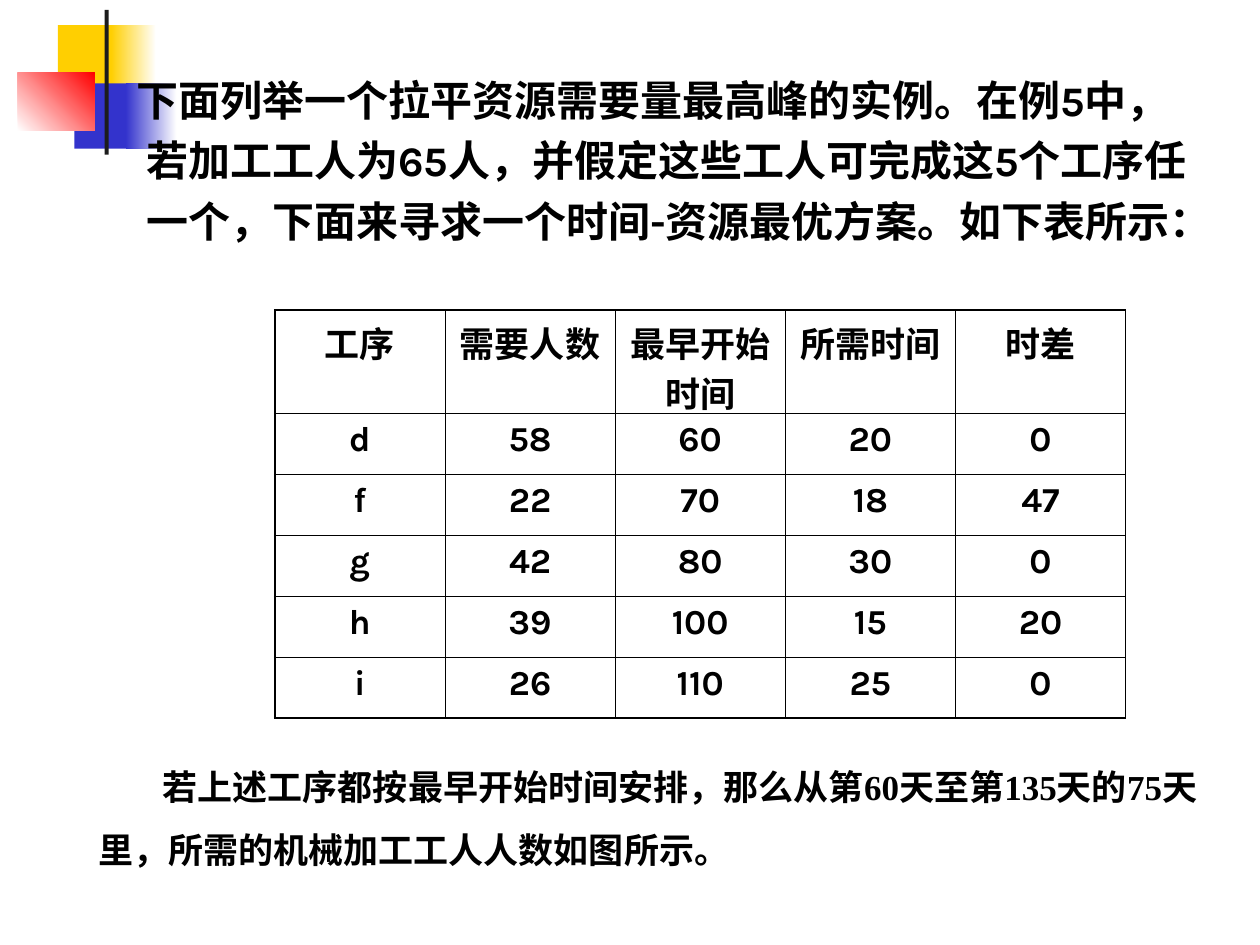
"""Builds the resource-levelling example slide with its process table."""
import pptx
import pptx.dml.color
import pptx.enum.lang
import pptx.enum.shapes
import pptx.enum.text
import pptx.oxml
import pptx.oxml.ns
import pptx.util

Cm = pptx.util.Cm
Pt = pptx.util.Pt

THEME = {
    "ink": "000000", "bar": "1C1C1C", "paper": "FFFFFF",
    "gold": "FFCF01", "blue": "3333CC", "red": "FF0000",
    "sans": "Karla", "serif": "Times New Roman",
    "intro_size": 24, "body_size": 20,
    "outer_line": 1.08, "inner_line": 0.45,
}

INTRO = {
    "text": "下面列举一个拉平资源需要量最高峰的实例。在例5中，若加工工人为65人，"
            "并假定这些工人可完成这5个工序任一个，下面来寻求一个时间-资源最优方案。如下表所示：",
    "place": (1.73, 1.17, 22.73, 16.03), "font": "sans", "size": "intro_size",
    "spacing": 1.2, "margin": 0.97, "indent": -0.2,
}
CLOSING = {
    "text": "若上述工序都按最早开始时间安排，那么从第60天至第135天的75天里，"
            "所需的机械加工工人人数如图所示。",
    "place": (1.73, 14.88, 22.86, 2.79), "font": "serif", "size": "body_size",
    "spacing": 1.5, "margin": 0, "indent": 1.3,
}
PROCESSES = [
    ("工序", "需要人数", "最早开始时间", "所需时间", "时差"),
    ("d", "58", "60", "20", "0"),
    ("f", "22", "70", "18", "47"),
    ("g", "42", "80", "30", "0"),
    ("h", "39", "100", "15", "20"),
    ("i", "26", "110", "25", "0"),
]
TABLE = {"left": 5.54, "top": 6.25, "column": 3.43, "header": 2.08, "row": 1.23}

ORNAMENT = [
    ((1.17, 0.51, 1.22, 1.32), ("gold",), 0),
    ((2.24, 0.51, 0.91, 1.32), ("gold", "paper"), 0),
    ((1.5, 1.68, 1.17, 1.32), ("blue",), 0),
    ((2.54, 1.68, 1.02, 1.32), ("blue", "paper"), 0),
    ((0.36, 1.47, 1.55, 1.17), ("paper", "red"), 45),
    ((2.11, 0.2, 0.08, 2.92), ("bar",), 0),
]


def colour(name):
    return pptx.dml.color.RGBColor.from_string(THEME[name])


def style_text(para, font, size):
    for span in para.runs:
        span.font.name = THEME[font]
        span.font.size = Pt(THEME[size])
        span.font.bold = True
        span.font.color.rgb = colour("ink")
        span.font.language_id = pptx.enum.lang.MSO_LANGUAGE_ID.SIMPLIFIED_CHINESE


def add_ornament(page, place, colours, angle):
    block = page.shapes.add_shape(
        pptx.enum.shapes.MSO_SHAPE.RECTANGLE, *map(Cm, place))
    block.shadow.inherit = False
    block.line.fill.background()
    if len(colours) == 1:
        block.fill.solid()
        block.fill.fore_color.rgb = colour(colours[0])
        return
    block.fill.gradient()
    block.fill.gradient_angle = angle
    for stop, position, name in zip(block.fill.gradient_stops, (0, 1), colours):
        stop.position = position
        stop.color.rgb = colour(name)


def add_paragraph_box(page, content):
    box = page.shapes.add_textbox(*map(Cm, content["place"]))
    box.text_frame.word_wrap = True
    box.text_frame.text = content["text"]
    para = box.text_frame.paragraphs[0]
    para.line_spacing = content["spacing"]
    properties = para._p.get_or_add_pPr()
    properties.set("marL", str(Cm(content["margin"])))
    properties.set("indent", str(Cm(content["indent"])))
    style_text(para, content["font"], content["size"])
    return box


def set_borders(cell, outer_sides):
    properties = cell._tc.get_or_add_tcPr()
    for side in "LRTB":
        width = THEME["outer_line" if side in outer_sides else "inner_line"]
        properties.append(pptx.oxml.parse_xml(
            f'<a:ln{side} {pptx.oxml.ns.nsdecls("a")} w="{int(Pt(width))}">'
            f'<a:solidFill><a:srgbClr val="{THEME["ink"]}"/></a:solidFill></a:ln{side}>'))


def add_process_table(page):
    row_count, column_count = len(PROCESSES), len(PROCESSES[0])
    heights = [TABLE["header"]] + [TABLE["row"]] * (row_count - 1)
    table = page.shapes.add_table(
        row_count, column_count, Cm(TABLE["left"]), Cm(TABLE["top"]),
        Cm(TABLE["column"] * column_count), Cm(sum(heights))).table
    table.first_row = False
    table.horz_banding = False
    for column in table.columns:
        column.width = Cm(TABLE["column"])
    for row_index, (values, height) in enumerate(zip(PROCESSES, heights)):
        table.rows[row_index].height = Cm(height)
        for column_index, value in enumerate(values):
            cell = table.cell(row_index, column_index)
            cell.text_frame.text = value
            para = cell.text_frame.paragraphs[0]
            para.alignment = pptx.enum.text.PP_ALIGN.CENTER
            style_text(para, "sans", "body_size")
            edges = {"L": column_index == 0, "R": column_index == column_count - 1,
                     "T": row_index == 0, "B": row_index == row_count - 1}
            set_borders(cell, [side for side, outer in edges.items() if outer])
            cell.fill.background()


def main():
    deck = pptx.Presentation()
    deck.slide_width, deck.slide_height = Cm(25.4), Cm(19.05)
    page = deck.slides.add_slide(deck.slide_layouts[6])
    for place, colours, angle in ORNAMENT:
        add_ornament(page, place, colours, angle)
    add_paragraph_box(page, INTRO)
    add_process_table(page)
    closing = add_paragraph_box(page, CLOSING)
    closing.text_frame.auto_size = pptx.enum.text.MSO_AUTO_SIZE.SHAPE_TO_FIT_TEXT
    deck.save("out.pptx")


if __name__ == "__main__":
    main()
